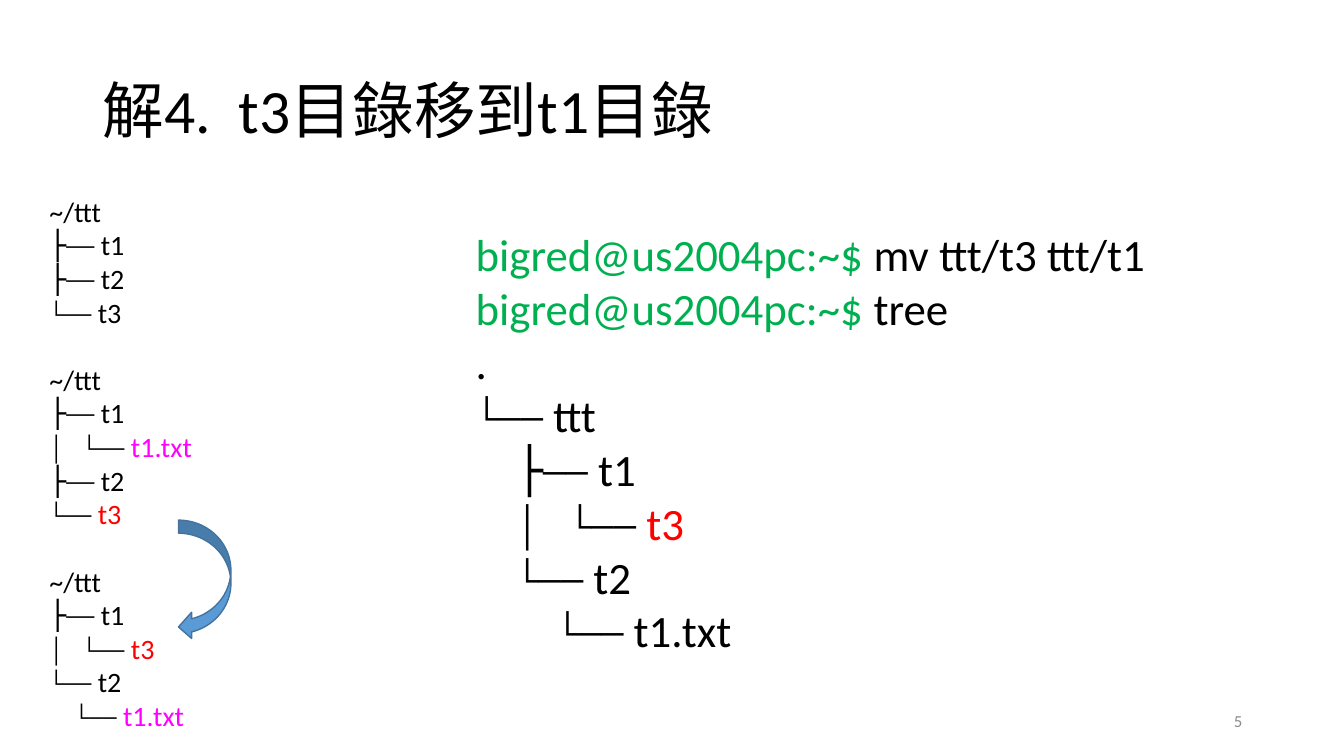
"""Build the slide on moving directory t3 into directory t1."""
from dataclasses import dataclass

from pptx import Presentation
from pptx import util as u
from pptx.dml import color as dml
from pptx.enum import shapes, text

BLACK, WHITE, GREY = "000000", "FFFFFF", "8C8C8C"
GREEN, RED, MAGENTA = "00B050", "FF0000", "FF00FF"
PROMPT = "bigred@us2004pc:~$ "


@dataclass(frozen=True)
class Line:
    """One text line: a lead, a tail, indent level and space before in points."""
    lead: str
    tail: str = ""
    lead_color: str = BLACK
    tail_color: str = BLACK
    level: int = 0
    before: float = 0


def rgb(value: str) -> dml.RGBColor:
    """Turn a hex string into a colour."""
    return dml.RGBColor.from_string(value)


def write(shape, lines: list[Line], *, size: float, indent: float = 0,
          align=text.PP_ALIGN.LEFT, anchor=text.MSO_ANCHOR.TOP,
          spacing: float = 1.0, inset: float | None = None,
          wrap: bool = True, grow: bool = False) -> None:
    """Write formatted lines into a shape."""
    frame = shape.text_frame
    frame.word_wrap = wrap
    frame.vertical_anchor = anchor
    frame.auto_size = (text.MSO_AUTO_SIZE.SHAPE_TO_FIT_TEXT if grow
                       else text.MSO_AUTO_SIZE.NONE)
    if inset is not None:
        frame.margin_left = frame.margin_right = u.Inches(inset)
        frame.margin_top = frame.margin_bottom = u.Inches(inset)
    for index, item in enumerate(lines):
        paragraph = frame.add_paragraph() if index else frame.paragraphs[0]
        paragraph.alignment = align
        paragraph.line_spacing = spacing
        paragraph.space_before = u.Pt(item.before)
        if item.level:
            margin = u.Inches(indent * item.level)
            paragraph._p.get_or_add_pPr().set("marL", str(int(margin)))
        for words, color in ((item.lead, item.lead_color),
                             (item.tail, item.tail_color)):
            if words:
                run = paragraph.add_run()
                run.text = words
                run.font.name = "Calibri"
                run.font.size = u.Pt(size)
                run.font.color.rgb = rgb(color)


def add_box(slide, left: float, top: float, width: float, height: float):
    """Add a text box, measured in inches."""
    return slide.shapes.add_textbox(*map(u.Inches, (left, top, width, height)))


def add_preset(slide, kind, left: float, top: float, width: float,
               height: float, *, fill: str, outline: str, weight: float):
    """Add a filled and outlined preset shape, measured in inches."""
    shape = slide.shapes.add_shape(
        kind, *map(u.Inches, (left, top, width, height)))
    shape.shadow.inherit = False
    shape.fill.solid()
    shape.fill.fore_color.rgb = rgb(fill)
    shape.line.color.rgb = rgb(outline)
    shape.line.width = u.Pt(weight)
    return shape


STAGES = [
    Line("~/ttt"),
    Line("├── t1"),
    Line("├── t2"),
    Line("└── t3"),
    Line("~/ttt", before=24),
    Line("├── t1"),
    Line("│   └── ", "t1.txt", tail_color=MAGENTA),
    Line("├── t2"),
    Line("└── ", "t3", tail_color=RED),
    Line("~/ttt", before=24),
    Line("├── t1"),
    Line("│   └── ", "t3", tail_color=RED),
    Line("└── t2"),
    Line("└── ", "t1.txt", tail_color=MAGENTA, level=1),
]

TERMINAL = [
    Line(PROMPT, "mv ttt/t3 ttt/t1", lead_color=GREEN),
    Line(PROMPT, "tree", lead_color=GREEN),
    Line("."),
    Line("└── ttt"),
    Line("├── t1", level=1),
    Line("│   └── ", "t3", tail_color=RED, level=1),
    Line("└── t2", level=1),
    Line("└── t1.txt", level=2),
]


def main() -> None:
    """Draw the slide and save it."""
    deck = Presentation()
    deck.slide_width, deck.slide_height = u.Inches(13.33), u.Inches(7.5)
    slide = deck.slides.add_slide(deck.slide_layouts[6])
    middle = text.MSO_ANCHOR.MIDDLE

    heading = add_box(slide, 0.92, 0.4, 11.5, 1.45)
    write(heading, [Line("解4.  t3目錄移到t1目錄")], size=44,
          anchor=middle, spacing=0.9)

    page_number = add_box(slide, 9.42, 6.95, 3, 0.4)
    write(page_number, [Line("5", lead_color=GREY)], size=12,
          align=text.PP_ALIGN.RIGHT, anchor=middle)

    stages = add_preset(slide, shapes.MSO_SHAPE.RECTANGLE, 0.44, 1.85, 5.35,
                        5.49, fill=WHITE, outline=WHITE, weight=2)
    write(stages, STAGES, size=20, indent=0.25, anchor=middle, inset=0.05,
          grow=True)

    add_preset(slide, shapes.MSO_SHAPE.CURVED_LEFT_ARROW, 1.77, 5.16, 0.52,
               1.19, fill="5B9BD5", outline="43739E", weight=1)

    terminal = add_box(slide, 4.62, 2.2, 6.93, 4.95)
    write(terminal, TERMINAL, size=32, indent=0.4, wrap=False, grow=True)

    deck.save("out.pptx")


if __name__ == "__main__":
    main()
